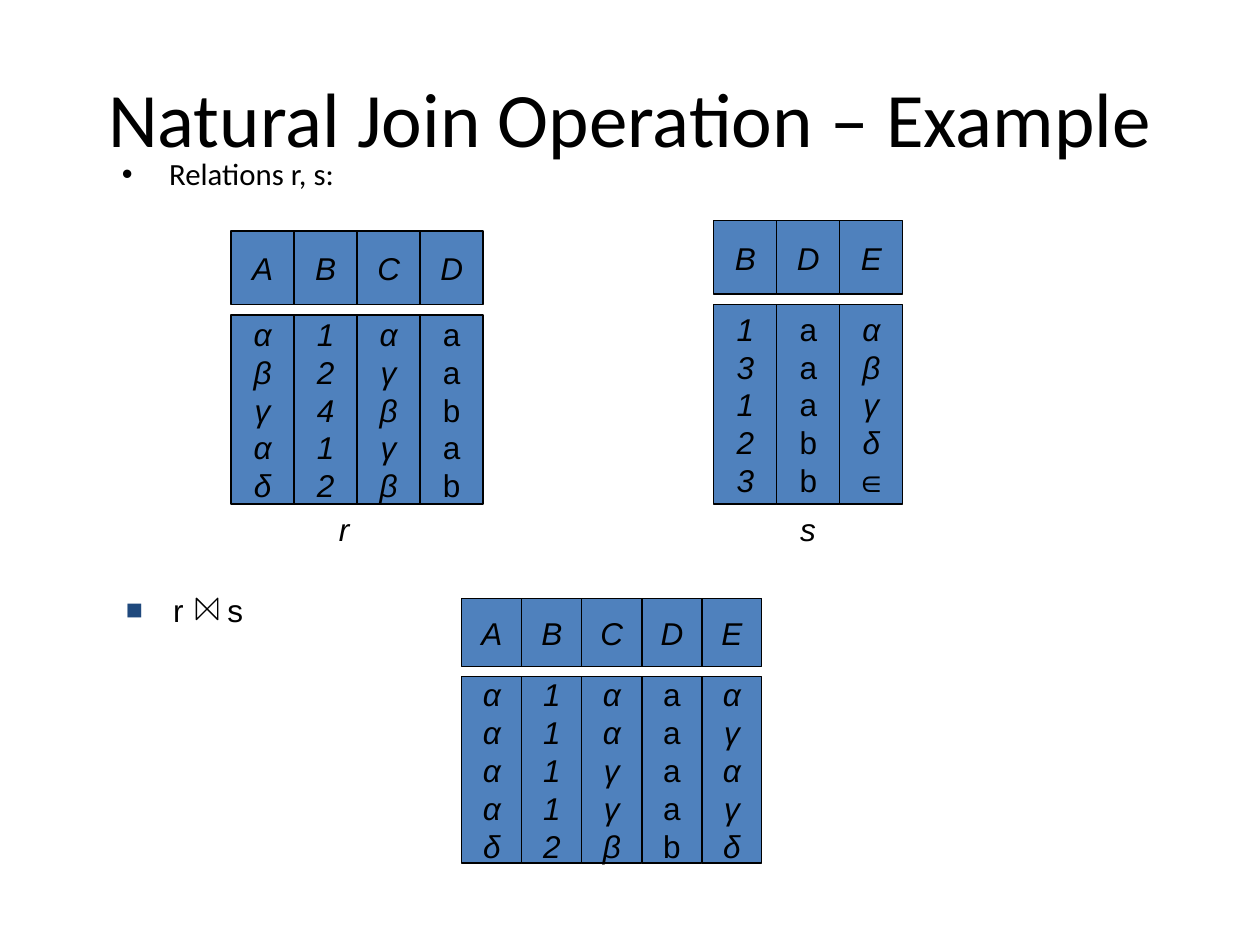
import pptx
import pptx.dml.color
import pptx.enum.shapes
import pptx.enum.text
import pptx.oxml
import pptx.oxml.ns
import pptx.util

Cm = pptx.util.Cm
Pt = pptx.util.Pt
Align = pptx.enum.text.PP_ALIGN
Anchor = pptx.enum.text.MSO_ANCHOR
Shapes = pptx.enum.shapes.MSO_SHAPE

COLORS = {"text": "000000", "cell": "4F81BD", "line": "000000", "marker": "1F497D"}
HANGING = Cm(0.95)


def rgb(name):
    return pptx.dml.color.RGBColor.from_string(COLORS[name])


class SlideBuilder:
    body_font = {"name": "Arial", "size": Pt(18)}
    italic_font = {**body_font, "italic": True}
    line_width = Pt(0.75)

    def __init__(self, slide):
        self.slide = slide

    def apply(self, target, values):
        for name, value in values.items():
            setattr(target, name, value)

    def fill_text(self, shape, lines, font, align=Align.CENTER, anchor=Anchor.MIDDLE, wrap=False):
        frame = shape.text_frame
        self.apply(frame, {"word_wrap": wrap, "vertical_anchor": anchor})
        frame.text = "\n".join(lines)
        for paragraph in frame.paragraphs:
            paragraph.alignment = align
            for run in paragraph.runs:
                self.style_run(run, font)

    def style_run(self, run, font):
        self.apply(run.font, font)
        run.font.color.rgb = rgb("text")

    def text(self, box, line, font, **options):
        shape = self.slide.shapes.add_textbox(*map(Cm, box))
        self.fill_text(shape, [line], font, **options)
        return shape

    def bullet(self, box, line, font, mark, color, size=100):
        shape = self.text(box, line, font, align=Align.LEFT, anchor=Anchor.TOP, wrap=True)
        paragraph = shape.text_frame.paragraphs[0]
        properties = paragraph._p.get_or_add_pPr()
        properties.set("marL", str(HANGING))
        properties.set("indent", str(-HANGING))
        namespace = pptx.oxml.ns.nsdecls("a")
        for xml in (
            f'<a:buClr {namespace}><a:srgbClr val="{COLORS[color]}"/></a:buClr>',
            f'<a:buSzPct {namespace} val="{size * 1000}"/>',
            f'<a:buFont {namespace} typeface="Arial"/>',
            f'<a:buChar {namespace} char="{mark}"/>',
        ):
            properties.append(pptx.oxml.parse_xml(xml))
        return paragraph

    def outline(self, kind, box, fill=None):
        shape = self.slide.shapes.add_shape(kind, *map(Cm, box))
        shape.shadow.inherit = False
        if fill:
            shape.fill.solid()
            shape.fill.fore_color.rgb = rgb(fill)
        else:
            shape.fill.background()
        shape.line.color.rgb = rgb("line")
        shape.line.width = self.line_width
        return shape

    def relation(self, left, width, header, body, columns):
        """Draw a header cell and a value cell per column; spans are (top, height)."""
        for index, (name, values) in enumerate(columns):
            x = left + index * width
            value_font = self.body_font if name == "D" else self.italic_font
            for (top, height), lines, font in (
                (header, [name], self.italic_font),
                (body, values, value_font),
            ):
                cell = self.outline(Shapes.RECTANGLE, (x, top, width, height), "cell")
                self.fill_text(cell, lines, font)


def main():
    presentation = pptx.Presentation()
    presentation.slide_width = Cm(25.4)
    presentation.slide_height = Cm(19.05)
    builder = SlideBuilder(presentation.slides.add_slide(presentation.slide_layouts[6]))

    # Title and introduction
    builder.text((1.27, 0.76, 22.86, 3.18), "Natural Join Operation – Example",
                 {"name": "Calibri", "size": Pt(44)}, wrap=True)
    builder.bullet((2.21, 3, 19, 1.07), "Relations r, s:",
                   {"name": "Calibri", "size": Pt(17.6)}, "•", "text")

    # Relations r and s
    builder.relation(4.66, 1.27, (4.66, 1.48), (6.35, 3.81), [
        ("A", "αβγαδ"), ("B", "12412"), ("C", "αγβγβ"), ("D", "aabab")])
    builder.relation(14.39, 1.27, (4.45, 1.48), (6.14, 4.02), [
        ("B", "13123"), ("D", "aaabb"), ("E", "αβγδ∈")])
    builder.text((6.58, 10.16, 0.71, 1.02), "r", builder.italic_font)
    builder.text((15.88, 10.16, 0.81, 1.02), "s", builder.italic_font)

    # Result of the join
    builder.relation(9.31, 1.21, (12.06, 1.38), (13.64, 3.76), [
        ("A", "ααααδ"), ("B", "11112"), ("C", "ααγγβ"), ("D", "aaaab"), ("E", "αγαγδ")])

    # Join expression, with a widened space that holds the bowtie
    expression = builder.bullet((2.29, 11.79, 19.53, 1.14), "r", builder.body_font,
                                "■", "marker", 90)
    for piece, spacing in ((" ", 2000), ("s", 0)):
        run = expression.add_run()
        run.text = piece
        builder.style_run(run, builder.body_font)
        run._r.get_or_add_rPr().set("spc", str(spacing))
    bowtie = builder.outline(Shapes.FLOWCHART_COLLATE, (3.96, 12.06, 0.43, 0.43))
    bowtie.rotation = 270

    presentation.save("out.pptx")


if __name__ == "__main__":
    main()
